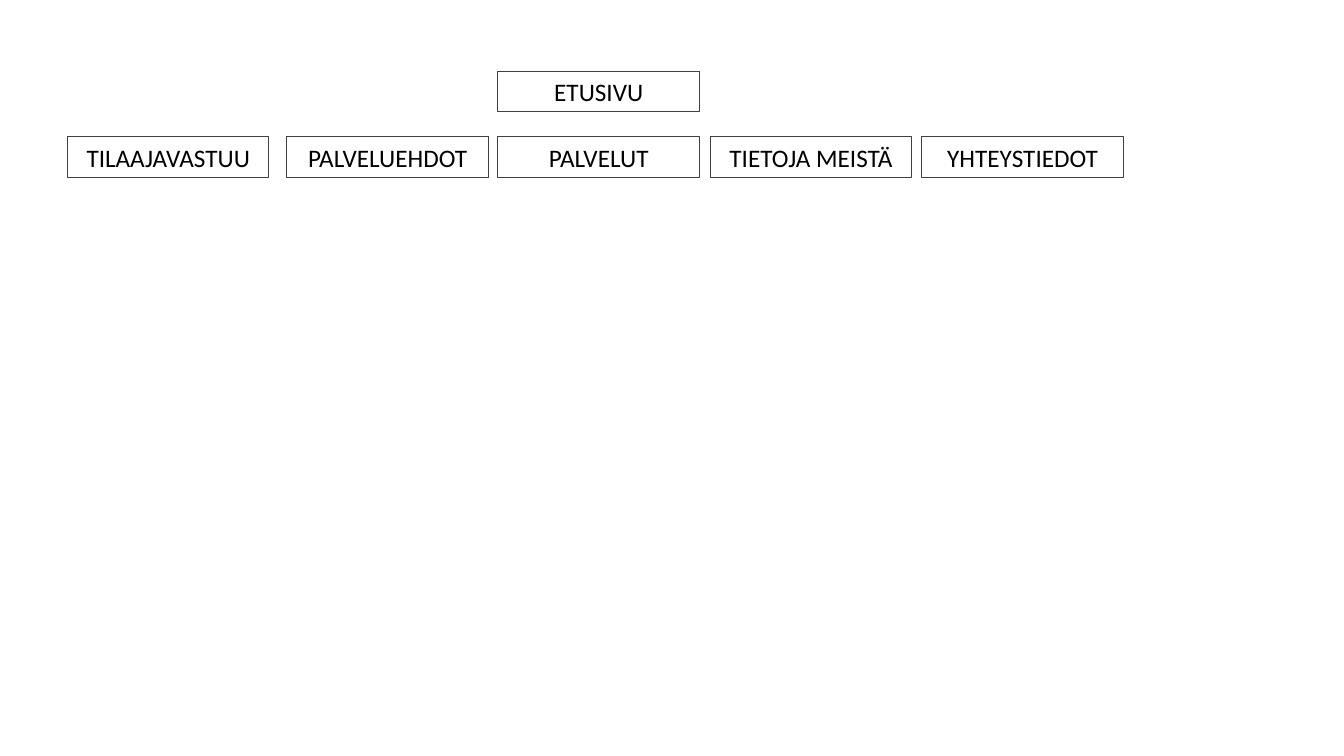
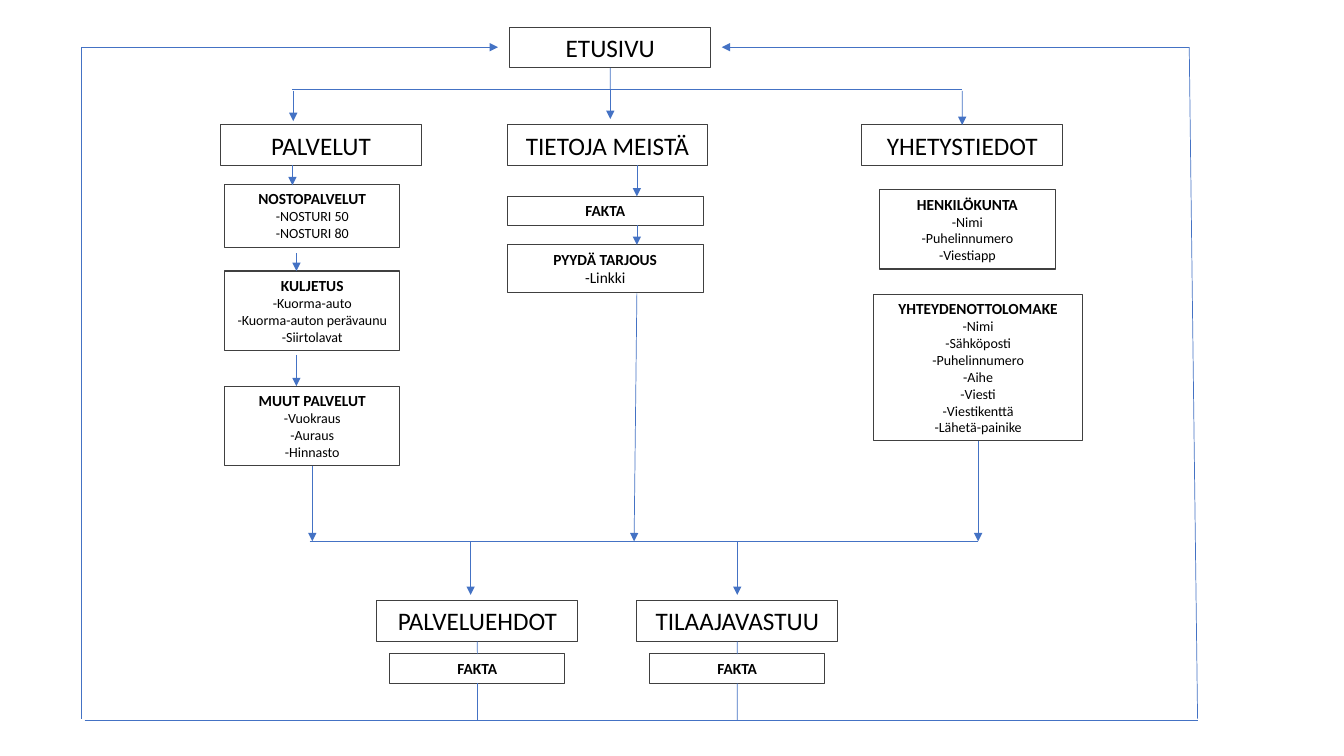
from dataclasses import dataclass

from lxml.etree import SubElement
from pptx import Presentation
from pptx.dml.color import RGBColor
from pptx.enum.shapes import MSO_CONNECTOR, MSO_SHAPE
from pptx.enum.text import MSO_ANCHOR, MSO_AUTO_SIZE, PP_ALIGN
from pptx.oxml.ns import qn
from pptx.util import Cm, Pt


@dataclass(frozen=True)
class Theme:
    font: str = "Calibri"
    ink: RGBColor = RGBColor(0x00, 0x00, 0x00)
    border: RGBColor = RGBColor(0x40, 0x40, 0x40)
    flow: RGBColor = RGBColor(0x44, 0x72, 0xC4)
    page_size: int = 18
    head_size: int = 11
    item_size: int = 10
    border_width: float = 0.75
    flow_width: float = 0.5


THEME = Theme()
TOP, BOTTOM = 0, 2
PAGE_HEIGHT = 1.02   # all lengths are centimetres
HEAD_HEIGHT = 0.74
ITEM_HEIGHT = 0.42

# Slide 1: the menu
MENU_PAGE_WIDTH = 5.08
MENU_TOP = 3.45
HOME = ("ETUSIVU", 12.55, 1.8)
MENU = [
    ("TILAAJAVASTUU", 1.7),
    ("PALVELUEHDOT", 7.23),
    ("PALVELUT", 12.55),
    ("TIETOJA MEISTÄ", 17.9),
    ("YHTEYSTIEDOT", 23.23),
]

# Slide 2: the site map
MAP_PAGE_WIDTH = 5.06
PAGES = [  # text, left, top
    ("ETUSIVU", 12.85, 0.69),
    ("TILAAJAVASTUU", 16.05, 15.14),
    ("PALVELUEHDOT", 9.5, 15.14),
    ("TIETOJA MEISTÄ", 12.78, 3.15),
    ("PALVELUT", 5.56, 3.15),
    ("YHETYSTIEDOT", 21.72, 3.15),
]
SECTIONS = [  # key, left, top, width, heading, items, item size
    ("lifting", 5.66, 4.65, 4.42, "NOSTOPALVELUT",
     ["-NOSTURI 50", "-NOSTURI 80"], THEME.item_size),
    ("transport", 5.66, 6.83, 4.42, "KULJETUS",
     ["-Kuorma-auto", "-Kuorma-auton perävaunu", "-Siirtolavat"], THEME.item_size),
    ("other", 5.66, 9.73, 4.42, "MUUT PALVELUT",
     ["-Vuokraus", "-Auraus", "-Hinnasto"], THEME.item_size),
    ("about facts", 12.78, 4.95, 4.95, "FAKTA", [], THEME.item_size),
    ("quote", 12.78, 6.17, 4.95, "PYYDÄ TARJOUS", ["-Linkki"], THEME.head_size),
    ("staff", 22.17, 4.78, 4.42, "HENKILÖKUNTA",
     ["-Nimi", "-Puhelinnumero", "-Viestiapp"], THEME.item_size),
    ("form", 22.02, 7.42, 5.26, "YHTEYDENOTTOLOMAKE",
     ["-Nimi", "-Sähköposti", "-Puhelinnumero", "-Aihe", "-Viesti",
      "-Viestikenttä", "-Lähetä-painike"], THEME.item_size),
    ("terms facts", 9.82, 16.48, 4.42, "FAKTA", [], THEME.item_size),
    ("liability facts", 16.37, 16.48, 4.42, "FAKTA", [], THEME.item_size),
]

# An end is either (x, y) or (box key, side).
HOME_Y, SPLIT_Y, PAGE_END, MERGE_Y, RETURN_Y = 1.19, 2.24, 4.17, 13.64, 18.16
LINES = [
    (("PALVELUEHDOT", BOTTOM), ("terms facts", TOP)),
    (("TILAAJAVASTUU", BOTTOM), ("liability facts", TOP)),
    (("terms facts", BOTTOM), (12.03, RETURN_Y)),
    (("liability facts", BOTTOM), (18.58, RETURN_Y)),
    ((15.38, SPLIT_Y), ("ETUSIVU", BOTTOM)),
    ((7.37, SPLIT_Y), (24.25, SPLIT_Y)),
    ((7.8, MERGE_Y), (24.65, MERGE_Y)),
    ((2.06, HOME_Y), (2.06, 18.11)),
    ((2.13, RETURN_Y), (30.18, RETURN_Y)),
    ((30.18, 18.11), (29.97, HOME_Y)),
]
ARROWS = [
    ((7.39, 2.29), (7.39, 3.05)),
    ((15.38, SPLIT_Y), (15.38, 3)),
    ((24.25, 2.29), ("YHETYSTIEDOT", TOP)),
    ((7.37, PAGE_END), (7.37, 4.67)),
    ((7.47, 6.38), (7.47, 6.83)),
    ((7.47, 8.94), (7.47, 9.73)),
    ((16.05, PAGE_END), (16.05, 4.95)),
    ((16.05, 5.68), (16.05, 6.17)),
    ((16.05, 7.39), (15.98, MERGE_Y)),
    (("other", BOTTOM), (7.87, MERGE_Y)),
    (("form", BOTTOM), (24.65, MERGE_Y)),
    ((11.86, MERGE_Y), (11.86, 14.99)),
    ((18.58, MERGE_Y), (18.58, 14.99)),
    ((2.06, HOME_Y), (12.55, HOME_Y)),
    ((29.97, HOME_Y), (18.19, HOME_Y)),
]


def write(paragraph, text, *, size, bold=False):
    paragraph.alignment = PP_ALIGN.CENTER
    run = paragraph.add_run()
    run.text = text
    run.font.name = THEME.font
    run.font.size = Pt(size)
    run.font.bold = bold
    run.font.color.rgb = THEME.ink


def add_box(slide, left, top, width, height):
    box = slide.shapes.add_shape(
        MSO_SHAPE.RECTANGLE, Cm(left), Cm(top), Cm(width), Cm(height))
    box.shadow.inherit = False
    box.fill.background()
    box.line.color.rgb = THEME.border
    box.line.width = Pt(THEME.border_width)
    frame = box.text_frame
    frame.word_wrap = True
    frame.auto_size = MSO_AUTO_SIZE.SHAPE_TO_FIT_TEXT
    frame.vertical_anchor = MSO_ANCHOR.TOP
    return box


def add_page(slide, text, left, top, width):
    page = add_box(slide, left, top, width, PAGE_HEIGHT)
    write(page.text_frame.paragraphs[0], text, size=THEME.page_size)
    return page


def add_section(slide, left, top, width, heading, items, item_size):
    line_height = ITEM_HEIGHT * item_size / THEME.item_size
    section = add_box(slide, left, top, width, HEAD_HEIGHT + len(items) * line_height)
    frame = section.text_frame
    write(frame.paragraphs[0], heading, size=THEME.head_size, bold=True)
    for item in items:
        write(frame.add_paragraph(), item, size=item_size)
    return section


def add_flow(slide, boxes, start, end, arrow=False):
    """Draw a line between two ends, joining it to any box they name."""
    (x1, y1), (x2, y2) = [
        (0, 0) if point[0] in boxes else point for point in (start, end)]
    flow = slide.shapes.add_connector(
        MSO_CONNECTOR.STRAIGHT, Cm(x1), Cm(y1), Cm(x2), Cm(y2))
    for point, join in ((start, flow.begin_connect), (end, flow.end_connect)):
        if point[0] in boxes:
            join(boxes[point[0]], point[1])
    flow.line.color.rgb = THEME.flow
    flow.line.width = Pt(THEME.flow_width)
    if arrow:
        SubElement(flow.line._get_or_add_ln(), qn("a:tailEnd"), type="triangle")
    SubElement(flow._element.spPr, qn("a:effectLst"))


def build_menu(slide):
    add_page(slide, *HOME, MENU_PAGE_WIDTH)
    for text, left in MENU:
        add_page(slide, text, left, MENU_TOP, MENU_PAGE_WIDTH)


def build_site_map(slide):
    boxes = {page[0]: add_page(slide, *page, MAP_PAGE_WIDTH) for page in PAGES}
    for key, *section in SECTIONS:
        boxes[key] = add_section(slide, *section)
    for start, end in LINES:
        add_flow(slide, boxes, start, end)
    for start, end in ARROWS:
        add_flow(slide, boxes, start, end, arrow=True)


def main():
    deck = Presentation()
    deck.slide_width, deck.slide_height = Cm(33.87), Cm(19.05)
    blank = deck.slide_layouts[6]
    for build in (build_menu, build_site_map):
        build(deck.slides.add_slide(blank))
    deck.save("out.pptx")


if __name__ == "__main__":
    main()
